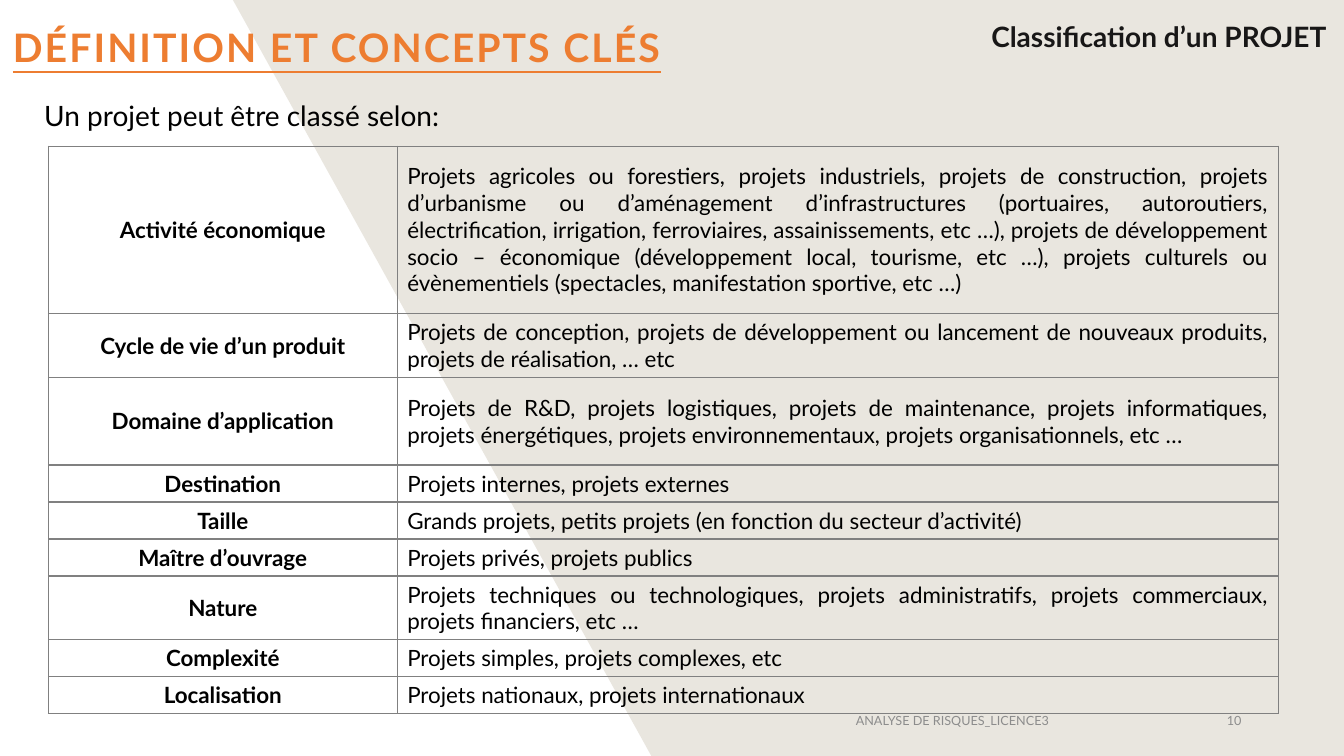
"""Build the slide that classifies projects by criterion."""
from lxml.etree import SubElement
from pptx import Presentation
from pptx.dml.color import RGBColor
from pptx.enum.text import MSO_ANCHOR, PP_ALIGN
from pptx.oxml import parse_xml
from pptx.oxml.ns import nsdecls
from pptx.util import Inches, Pt


def color(hex_value):
    return RGBColor.from_string(hex_value)


def write(paragraph, text, size, hex_value, alignment, bold=False):
    paragraph.text = text
    paragraph.alignment = alignment
    paragraph.font.name = "Lato"
    paragraph.font.size = Pt(size)
    paragraph.font.bold = bold
    paragraph.font.color.rgb = color(hex_value)


presentation = Presentation()
presentation.slide_width = Inches(13.33)
presentation.slide_height = Inches(7.5)
slide = presentation.slides.add_slide(presentation.slide_layouts[6])

builder = slide.shapes.build_freeform(Inches(6.46), Inches(7.5), scale=1.0)
corners = [(2.31, 0), (13.33, 0), (13.33, 7.5)]
builder.add_line_segments([(Inches(x), Inches(y)) for x, y in corners], close=True)
backdrop = builder.convert_to_shape()
backdrop.shadow.inherit = False
backdrop.fill.solid()
backdrop.fill.fore_color.rgb = color("E9E6DF")
backdrop.line.fill.background()

LEFT, CENTER, RIGHT = PP_ALIGN.LEFT, PP_ALIGN.CENTER, PP_ALIGN.RIGHT
MIDDLE, TOP = MSO_ANCHOR.MIDDLE, MSO_ANCHOR.TOP
texts = [
    ("ANALYSE DE RISQUES_LICENCE3", (7.38, 6.95, 4.13, 0.4), 9, "8C8C8C", CENTER, False, MIDDLE),
    ("10", (11.82, 6.95, 0.59, 0.4), 9, "8C8C8C", RIGHT, False, MIDDLE),
    ("Classification d’un PROJET", (9.66, 0.14, 3.67, 0.44), 20, "181717", CENTER, True, TOP),
    ("DÉFINITION ET CONCEPTS CLÉS", (-0.7, 0.15, 8.08, 0.68), 28, "ED7D31", CENTER, True, MIDDLE),
    ("Un projet peut être classé selon:", (0.34, 0.89, 12.63, 0.56), 20, "000000", LEFT, False, MIDDLE),
]
paragraphs = []
for text, box, size, hex_value, alignment, bold, anchor in texts:
    frame = slide.shapes.add_textbox(*[Inches(length) for length in box]).text_frame
    frame.word_wrap = True
    frame.vertical_anchor = anchor
    write(frame.paragraphs[0], text, size, hex_value, alignment, bold)
    paragraphs.append(frame.paragraphs[0])

title, introduction = paragraphs[-2:]
title.line_spacing = introduction.line_spacing = 0.9
introduction.space_before = Pt(10)
title_font = title.runs[0].font
title_font.underline = True
title.runs[0]._r.get_or_add_rPr().set("spc", "150")

rows = [
    ("Activité économique", 1.66,
     "Projets agricoles ou forestiers, projets industriels, projets de construction, projets "
     "d’urbanisme ou d’aménagement d’infrastructures (portuaires, autoroutiers, électrification, "
     "irrigation, ferroviaires, assainissements, etc …), projets de développement socio – économique "
     "(développement local, tourisme, etc …), projets culturels ou évènementiels (spectacles, "
     "manifestation sportive, etc …)"),
    ("Cycle de vie d’un produit", 0.61,
     "Projets de conception, projets de développement ou lancement de nouveaux produits, "
     "projets de réalisation, … etc"),
    ("Domaine d’application", 0.87,
     "Projets de R&D, projets logistiques, projets de maintenance, projets informatiques, "
     "projets énergétiques, projets environnementaux, projets organisationnels, etc …"),
    ("Destination", 0.35, "Projets internes, projets externes"),
    ("Taille", 0.35, "Grands projets, petits projets (en fonction du secteur d’activité)"),
    ("Maître d’ouvrage", 0.35, "Projets privés, projets publics"),
    ("Nature", 0.61,
     "Projets techniques ou technologiques, projets administratifs, projets commerciaux, "
     "projets financiers, etc …"),
    ("Complexité", 0.35, "Projets simples, projets complexes, etc"),
    ("Localisation", 0.35, "Projets nationaux, projets internationaux"),
]
table = slide.shapes.add_table(
    len(rows), 2, Inches(0.48), Inches(1.45), Inches(12.2), Inches(5.5)
).table
table.first_row = table.horz_banding = False
for column, width in zip(table.columns, (3.46, 8.74)):
    column.width = Inches(width)

for row, (criterion, height, examples) in zip(table.rows, rows):
    row.height = Inches(height)
    write(row.cells[0].text_frame.paragraphs[0], criterion, 16, "000000", CENTER, True)
    write(row.cells[1].text_frame.paragraphs[0], examples, 16, "000000", PP_ALIGN.JUSTIFY)
    for cell in row.cells:
        cell.vertical_anchor = MIDDLE
        cell.fill.background()
        properties = cell._tc.get_or_add_tcPr()
        for position, side in enumerate("LRTB"):
            border = parse_xml(f'<a:ln{side} {nsdecls("a")} w="{Pt(1)}"><a:solidFill>'
                               f'<a:srgbClr val="808080"/></a:solidFill></a:ln{side}>')
            properties.insert(position, border)

presentation.save("out.pptx")
